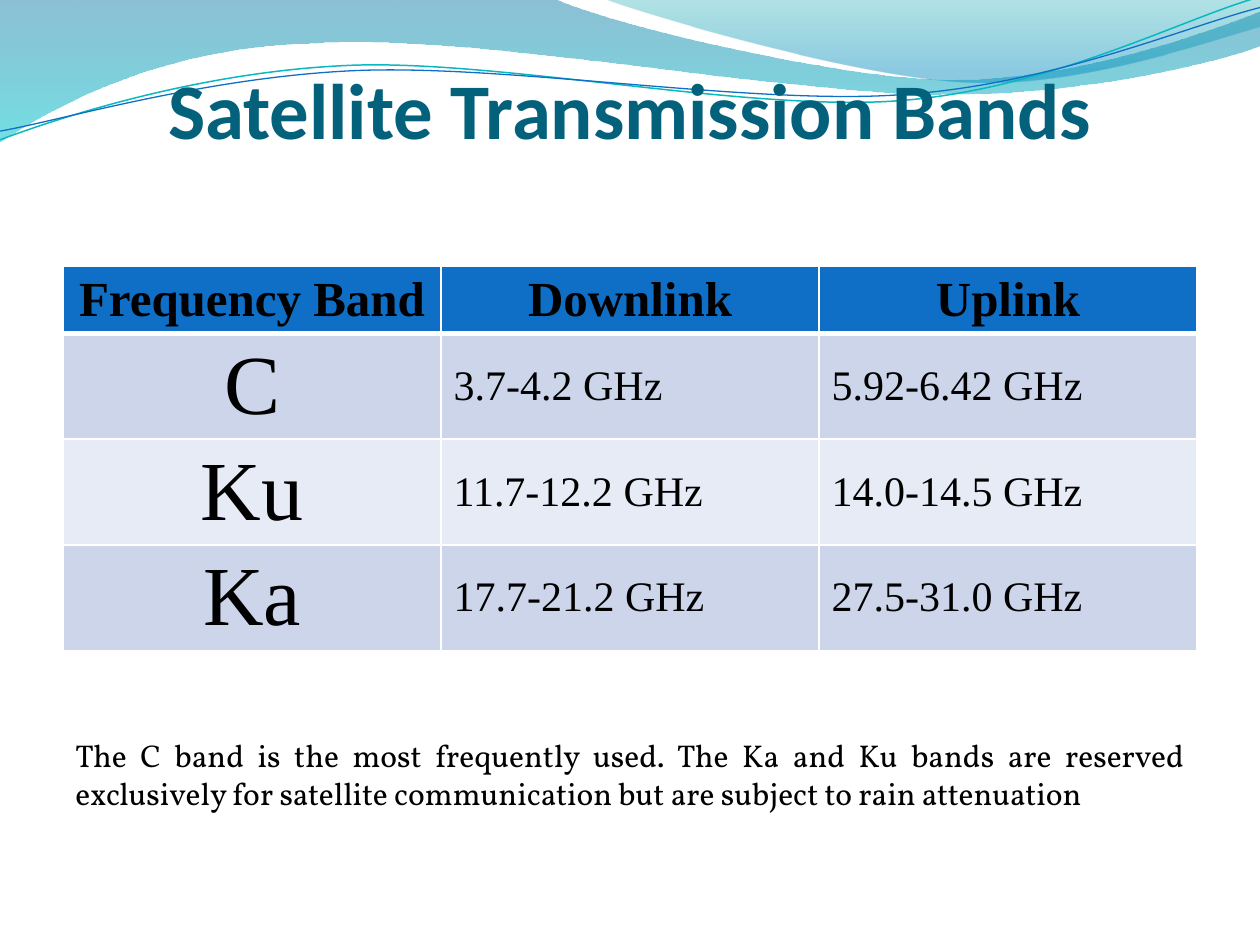
from lxml import etree
from pptx import Presentation
from pptx import util as u
from pptx.dml import color
from pptx.enum import text
from pptx.oxml import ns

Pt = u.Pt
CENTER, LEFT, JUSTIFY = (text.PP_ALIGN.CENTER, text.PP_ALIGN.LEFT,
                         text.PP_ALIGN.JUSTIFY)
SERIF = "Times New Roman"
MARGIN, WIDTH = 36, 648

# Outlines: a start point, then lines (one point) and cubic curves (three points).
LOWER_WAVE = [
    (0, 0), [(316.8, -0.7)],
    [(342.7, 12.2), (478.1, 45.4), (545.8, 45.4)],
    [(614.2, 45.4), (689.8, 18.7), (720, 6.5)],
    [(720.7, 25.9)],
    [(707.8, 31.7), (626.4, 54.7), (537.1, 54)],
    [(447.8, 54), (275, 20.2), (185, 24.5)],
    [(92.9, 25.9), (33.1, 59.8), (-0.7, 81.4)],
    [(0, 0)],
]
UPPER_WAVE = [
    (344.9, -0.7),
    [(366.5, 7.9), (491, 44.6), (553.7, 46.8)],
    [(616.3, 49.7), (691.9, 23), (720, 15.1)],
    [(720, 0)], [(344.9, -0.7)],
]
TEAL_LINE = [
    (0, 79.9),
    [(34.6, 67), (113.8, 41), (199.4, 37.4)],
    [(284.4, 33.8), (427, 64.1), (513.4, 57.6)],
    [(599.8, 51.1), (675.4, 10.8), (718.6, -1.4)],
]
BLUE_LINE = [
    (0, 74.9),
    [(33.8, 69.1), (118.1, 43.9), (203.8, 40.3)],
    [(290.2, 36.7), (432.7, 60.5), (516.2, 54)],
    [(601.9, 48.2), (677.5, 15.1), (720, 4.3)],
]
BANDS = [
    ("Frequency Band", "Downlink", "Uplink"),
    ("C", "3.7-4.2 GHz", "5.92-6.42 GHz"),
    ("Ku", "11.7-12.2 GHz", "14.0-14.5 GHz"),
    ("Ka", "17.7-21.2 GHz", "27.5-31.0 GHz"),
]


def rgb(value):
    return color.RGBColor.from_string(value)


def set_all(target, values):
    for name, value in values.items():
        setattr(target, name, value)


def write(frame, words, align, fill, **font):
    para = frame.paragraphs[0]
    para.alignment = align
    span = para.add_run()
    span.text = words
    set_all(span.font, font)
    span.font.color.rgb = rgb(fill)
    return para


def hang(para, indent):
    props = para._p.get_or_add_pPr()
    props.set("marL", str(Pt(indent)))
    props.set("indent", str(-Pt(indent)))


def add_outline(page, outline, close):
    """Build straight segments, then join each group of three into a curve."""
    start, *segments = outline
    points = [(Pt(x), Pt(y)) for segment in segments for x, y in segment]
    builder = page.shapes.build_freeform(Pt(start[0]), Pt(start[1]))
    builder.add_line_segments(points, close=close)
    shape = builder.convert_to_shape()
    shape.shadow.inherit = False
    lines = iter(list(shape.element.spPr.iter(ns.qn("a:lnTo"))))
    for segment in segments:
        group = [next(lines) for _ in segment]
        if len(group) == 3:
            curve = etree.Element(ns.qn("a:cubicBezTo"))
            group[0].addprevious(curve)
            for line in group:
                curve.append(line[0])
                line.getparent().remove(line)
    return shape


def add_wave(page, outline, stops):
    """Stops are (position, colour, opacity in percent), from top to bottom."""
    wave = add_outline(page, outline, True)
    wave.line.fill.background()
    wave.fill.gradient()
    wave.fill.gradient_angle = 270
    for stop, (position, fill, _) in zip(wave.fill.gradient_stops, stops):
        stop.position = position
        stop.color.rgb = rgb(fill)
    tints = wave.element.spPr.iter(ns.qn("a:srgbClr"))
    for tint, (_, _, opacity) in zip(tints, stops):
        etree.SubElement(tint, ns.qn("a:alpha"), val=str(opacity * 1000))


def add_swoosh(page, outline, stroke, width):
    swoosh = add_outline(page, outline, False)
    swoosh.fill.background()
    swoosh.line.color.rgb = rgb(stroke)
    swoosh.line.width = Pt(width)


def add_title(page, words):
    title = page.shapes.title
    page.shapes._spTree.append(title._element)  # in front of the waves
    set_all(title, dict(left=Pt(MARGIN), top=Pt(30.2),
                        width=Pt(WIDTH), height=Pt(58.3)))
    set_all(title.text_frame, dict(
        auto_size=text.MSO_AUTO_SIZE.NONE, word_wrap=True,
        vertical_anchor=text.MSO_ANCHOR.BOTTOM, margin_left=0, margin_right=0,
        margin_top=Pt(3.6), margin_bottom=0))
    write(title.text_frame, words, CENTER, "04617B",
          name="Calibri", size=Pt(45), bold=True)


def set_borders(cell, **widths):
    for edge in "LRTB":
        line = etree.SubElement(cell._tc.get_or_add_tcPr(), ns.qn(f"a:ln{edge}"),
                                w=str(Pt(widths.get(edge, 1))))
        fill = etree.SubElement(line, ns.qn("a:solidFill"))
        etree.SubElement(fill, ns.qn("a:srgbClr"), val="FFFFFF")


def add_band_table(page, rows):
    """Rows start low and grow to fit their text."""
    holder = page.shapes.add_table(len(rows), len(rows[0]), Pt(MARGIN), Pt(152.4),
                                   Pt(WIDTH), Pt(235.4))
    table = holder.table
    for r, row in enumerate(rows):
        table.rows[r].height = Pt(29.2)
        header = r == 0
        fill = "0F6FC6" if header else ("E7EBF5", "CCD5EA")[r % 2]
        edges = {0: {"B": 3}, 1: {"T": 3}}.get(r, {})
        for c, words in enumerate(row):
            cell = table.cell(r, c)
            set_borders(cell, **edges)
            cell.fill.solid()
            cell.fill.fore_color.rgb = rgb(fill)
            cell.vertical_anchor = text.MSO_ANCHOR.MIDDLE
            size = 28 if header else 48 if c == 0 else 24
            para = write(cell.text_frame, words,
                         CENTER if header or c == 0 else LEFT,
                         "000000", name=SERIF, size=Pt(size), bold=header)
            hang(para, 27)
    holder.height = Pt(235.4)


def add_note(page, words):
    box = page.shapes.add_textbox(Pt(MARGIN), Pt(416.9), Pt(WIDTH), Pt(51))
    set_all(box.text_frame, dict(
        word_wrap=True, auto_size=text.MSO_AUTO_SIZE.SHAPE_TO_FIT_TEXT))
    write(box.text_frame, words, JUSTIFY, "000000", name="Vollkorn", size=Pt(18))


def main():
    deck = Presentation()
    set_all(deck, dict(slide_width=Pt(720), slide_height=Pt(540)))
    page = deck.slides.add_slide(deck.slide_layouts[5])
    add_wave(page, LOWER_WAVE, [(0, "0074A1", 45), (1, "00C6CF", 55)])
    add_wave(page, UPPER_WAVE, [(0, "00A1A9", 30), (0.8, "008BBF", 45)])
    add_swoosh(page, TEAL_LINE, "0AB8BF", 0.85)
    add_swoosh(page, BLUE_LINE, "0F6FC6", 0.75)
    add_title(page, "Satellite Transmission Bands")
    add_band_table(page, BANDS)
    add_note(page, "The C band is the most frequently used. The Ka and Ku bands "
                   "are reserved exclusively for satellite communication but are "
                   "subject to rain attenuation")
    deck.save("out.pptx")


if __name__ == "__main__":
    main()
